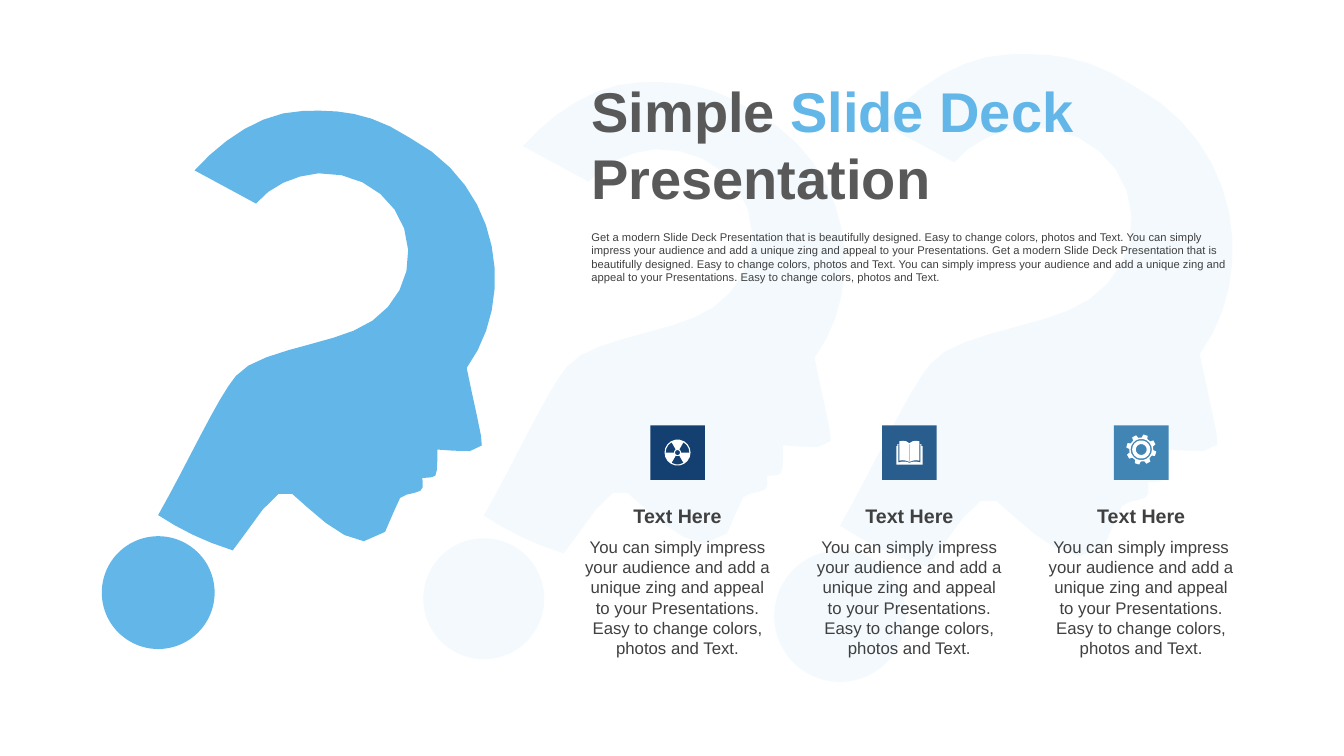
from math import cos, dist, radians, sin

from lxml.etree import SubElement
from pptx import Presentation
from pptx.dml.color import RGBColor
from pptx.enum.shapes import MSO_SHAPE
from pptx.enum.text import MSO_ANCHOR, PP_ALIGN
from pptx.oxml.ns import qn
from pptx.util import Pt

COLORS = {"sky": "62B7E8", "navy": "134070", "blue": "285D8D", "steel": "4185B5",
          "title": "595959", "text": "404040", "white": "FFFFFF"}
FONT = "Arial"
LINE_HEIGHT = 1.21

TITLE = [("Simple ", "title"), ("Slide Deck ", "sky"), ("Presentation", "title")]
INTRO = ("Get a modern Slide Deck Presentation that is beautifully designed. Easy to change "
         "colors, photos and Text. You can simply impress your audience and add a unique zing "
         "and appeal to your Presentations. Get a modern Slide Deck Presentation that is "
         "beautifully designed. Easy to change colors, photos and Text. You can simply impress "
         "your audience and add a unique zing and appeal to your Presentations. Easy to change "
         "colors, photos and Text.")
HEADING = "Text Here"
BODY = ("You can simply impress your audience and add a unique zing and appeal to your "
        "Presentations. Easy to change colors, photos and Text.")

# Columns: tile colour, icon, middle of the icon
COLUMNS = [("navy", "radiation", 323.3), ("blue", "book", 323.3), ("steel", "gear", 321.1)]
COLUMN_CENTER, COLUMN_PITCH, COLUMN_WIDTH = 484, 165.6, 148.6
TILE_TOP, TILE_SIZE = 303.8, 39

# Question marks: left, top and diameter of the dot, opacity in percent
HEAD_DOT = (72.7, 383, 80.6)
QUESTION_MARKS = [(302.4, 384.5, 86.4, 7), (553, 393.1, 94, 7), (*HEAD_DOT, 100)]

# Outlines: a pair is a corner, six numbers are a curve (two handles and an end)
HEAD = [
    (216.7, 79.2),
    (240.5, 78.5, 263.5, 79.2, 293, 98.6),
    (359.3, 133.9, 368.6, 214.6, 333.4, 262.8),
    (337, 281.5, 345.6, 316.1, 344.2, 318.2),
    (338.4, 325.4, 323.3, 321.1, 312.5, 321.1),
    (312.5, 327.6, 312.5, 338.4, 311, 339.8),
    (308.9, 341.3, 305.3, 341.3, 301.7, 341.3),
    (301.7, 344.2, 303.1, 349.2, 300.2, 350.6),
    (296.6, 352.8, 290.2, 352.1, 285.8, 355.7),
    (279.4, 360, 282.2, 387.4, 259.9, 386.6),
    (241.2, 384.5, 223.2, 365, 208.8, 352.8),
    (197.3, 342.7, 178.6, 378.7, 166.3, 393.1),
    (145.4, 386.6, 128.2, 378, 113, 367.9),
    (133.2, 332.6, 155.5, 283.7, 168.5, 268.6),
    (181.4, 252, 226.8, 247, 252.7, 236.2),
    (276.5, 226.8, 293, 204.5, 291.6, 178.6),
    (290.2, 146.2, 261.4, 122.4, 227.5, 123.8),
    (209.5, 125.3, 193, 133.2, 182.9, 145.4),
    (139, 121.7),
    (159.8, 98.6, 187.9, 79.9, 216.7, 79.2),
]
BOOK_CENTER = (9.35, 8.65)
BOOK_COVER = [(0, 17.3), (0, 4.1), (0.8, 4.1), (0.8, 2.7), (2.2, 2.7), (2.2, 0.6),
              (4.5, -0.1, 7.5, 0, 9.35, 2), (11.2, 0, 14.2, -0.1, 16.5, 0.6),
              (16.5, 2.7), (17.9, 2.7), (17.9, 4.1), (18.7, 4.1), (18.7, 17.3)]
BOOK_GAP = [(1.5, 2.7), (1.5, 15.7), (4, 14.8, 7, 14.8, 9.35, 15.9),
            (11.7, 14.8, 14.7, 14.8, 17.2, 15.7), (17.2, 2.7), (16.5, 2.7), (16.5, 14.4),
            (14, 13.7, 11.7, 14.2, 9.35, 15.3), (7, 14.2, 4.7, 13.7, 2.2, 14.4), (2.2, 2.7)]
BOOK_SPINE = [(9.1, 2.6), (9.6, 2.6), (9.6, 15.3), (9.1, 15.3)]


def flatten(outline, spacing=14):
    """Turn corners and Bezier curves into points, with more of them on longer curves."""
    points = []
    for part in outline:
        if len(part) == 2:
            points.append(part)
            continue
        nodes = [points[-1], part[:2], part[2:4], part[4:]]
        steps = max(3, round(dist(nodes[0], nodes[3]) / spacing))
        for step in range(1, steps + 1):
            t = step / steps
            weights = ((1 - t) ** 3, 3 * t * (1 - t) ** 2, 3 * t * t * (1 - t), t ** 3)
            points.append(tuple(sum(w * node[axis] for w, node in zip(weights, nodes))
                                for axis in (0, 1)))
    return points


def polar(radius, degrees):
    return radius * cos(radians(degrees)), radius * sin(radians(degrees))


def arc(radius, start, end, step=20):
    turn = step if end > start else -step
    return [polar(radius, angle) for angle in range(start, end + turn, turn)]


def ring(radius):
    return arc(radius, 0, 340)


def radiation():
    blades = [arc(8.5, start, start + 60) + arc(2.5, start + 60, start)
              for start in (60, 180, 300)]
    return [ring(9.3), ring(1.8), *blades]


def gear():
    teeth = [polar(radius, -73.5 + 45 * tooth + offset) for tooth in range(8)
             for radius, offset in ((8.6, -14), (10.8, -8.5), (10.8, 8.5), (8.6, 14))]
    return [teeth, ring(7.6), ring(6.5), ring(3.9)]


def book():
    dx, dy = BOOK_CENTER
    return [[(x - dx, y - dy) for x, y in flatten(outline)]
            for outline in (BOOK_COVER, BOOK_GAP, BOOK_SPINE)]


ICONS = {"radiation": radiation, "book": book, "gear": gear}


def paint(shape, color, opacity=100):
    shape.shadow.inherit = False
    shape.line.fill.background()
    shape.fill.solid()
    shape.fill.fore_color.rgb = RGBColor.from_string(COLORS[color])
    if opacity < 100:
        tint = shape.element.spPr.find(qn("a:solidFill"))[0]
        SubElement(tint, qn("a:alpha")).set("val", str(opacity * 1000))


def add_outline(contours, left, top, color, opacity=100):
    """Draw closed contours as one shape; inner contours become holes."""
    contours = [[(Pt(left + x), Pt(top + y)) for x, y in contour] for contour in contours]
    builder = shapes.build_freeform(*contours[0][0], scale=1.0)
    builder.add_line_segments(contours[0][1:])
    for contour in contours[1:]:
        builder.move_to(*contour[0])
        builder.add_line_segments(contour[1:])
    paint(builder.convert_to_shape(), color, opacity)


def add_preset(kind, left, top, size, color, opacity=100):
    paint(shapes.add_shape(kind, Pt(left), Pt(top), Pt(size), Pt(size)), color, opacity)


def add_text(box, runs, size, bold=False, align=PP_ALIGN.LEFT, anchor=MSO_ANCHOR.TOP):
    frame = shapes.add_textbox(*map(Pt, box)).text_frame
    frame.word_wrap = True
    frame.vertical_anchor = anchor
    paragraph = frame.paragraphs[0]
    paragraph.alignment = align
    paragraph.line_spacing = Pt(size * LINE_HEIGHT)
    for words, color in runs:
        run = paragraph.add_run()
        run.text = words
        run.font.name, run.font.size, run.font.bold = FONT, Pt(size), bold
        run.font.color.rgb = RGBColor.from_string(COLORS[color])


deck = Presentation()
deck.slide_width, deck.slide_height = Pt(960), Pt(540)
shapes = deck.slides.add_slide(deck.slide_layouts[6]).shapes

head = [(x - HEAD_DOT[0], y - HEAD_DOT[1]) for x, y in flatten(HEAD)]
for left, top, diameter, opacity in QUESTION_MARKS:
    scale = diameter / HEAD_DOT[2]
    add_outline([[(x * scale, y * scale) for x, y in head]], left, top, "sky", opacity)
    add_preset(MSO_SHAPE.OVAL, left, top, diameter, "sky", opacity)

add_text((415.4, 50.4, 381.6, 104.4), TITLE, 40, bold=True)
add_text((415.4, 160.6, 473, 46), [(INTRO, "text")], 8)

for index, (tile_color, icon, icon_middle) in enumerate(COLUMNS):
    center = COLUMN_CENTER + index * COLUMN_PITCH
    left = center - COLUMN_WIDTH / 2
    add_preset(MSO_SHAPE.RECTANGLE, center - TILE_SIZE / 2, TILE_TOP, TILE_SIZE, tile_color)
    add_outline(ICONS[icon](), center, icon_middle, "white")
    add_text((left, 355.7, COLUMN_WIDTH, 24.5), [(HEADING, "text")], 14, bold=True,
             align=PP_ALIGN.CENTER, anchor=MSO_ANCHOR.MIDDLE)
    add_text((left, 379.4, COLUMN_WIDTH, 94.3), [(BODY, "text")], 12, align=PP_ALIGN.CENTER)

deck.save("out.pptx")
